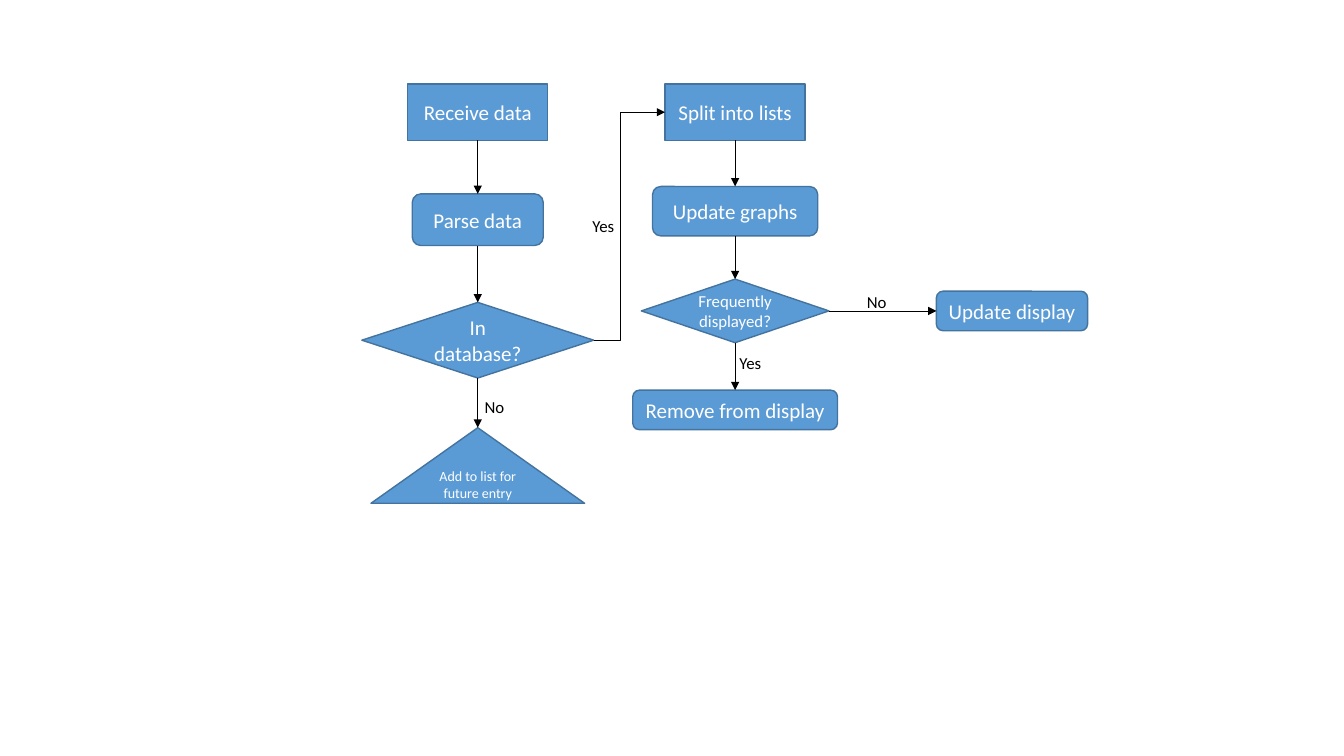
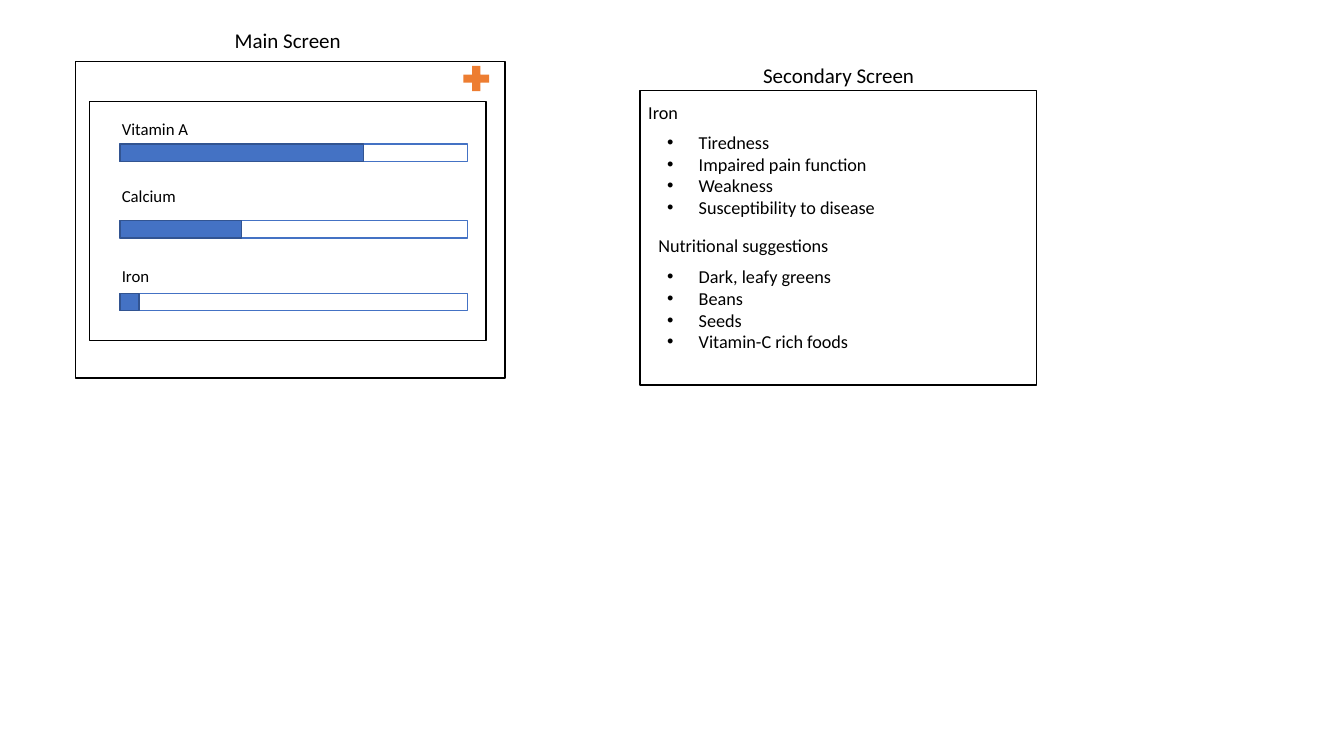
from pptx import Presentation
from pptx import util as u
from pptx.dml.color import RGBColor
from pptx.enum import shapes, text
from pptx.oxml.ns import qn
from lxml import etree

Pt = u.Pt
KIND = shapes.MSO_SHAPE
LINK = shapes.MSO_CONNECTOR
ALIGN = text.PP_ALIGN
ANCHOR = text.MSO_ANCHOR

# Colours
BLACK = RGBColor(0, 0, 0)
WHITE = RGBColor(255, 255, 255)
SKY = RGBColor(0x5B, 0x9B, 0xD5)
STEEL = RGBColor(0x43, 0x73, 0x9E)
BLUE = RGBColor(0x44, 0x72, 0xC4)
NAVY = RGBColor(0x32, 0x54, 0x91)
ORANGE = RGBColor(0xED, 0x7D, 0x31)

# Connection sites
TOP, LEFT, BASE, RIGHT = range(4)


def write(shape, words, size=12, color=BLACK, align=ALIGN.LEFT,
          anchor=ANCHOR.TOP, inset=7.2, bullet=False):
    """Fill a shape with one paragraph per line of words."""
    frame = shape.text_frame
    frame.text = words
    frame.word_wrap = True
    frame.auto_size = text.MSO_AUTO_SIZE.NONE
    frame.vertical_anchor = anchor
    frame.margin_left = frame.margin_right = Pt(inset)
    frame.margin_top = frame.margin_bottom = Pt(3.6)
    for para in frame.paragraphs:
        para.alignment = align
        para.space_before = Pt(0)
        font = para.runs[0].font
        font.name, font.size, font.bold = "Calibri", Pt(size), False
        font.color.rgb = color
        if bullet:
            props = para._p.get_or_add_pPr()
            props.set("marL", str(Pt(22.5)))
            props.set("indent", str(Pt(-22.5)))
            etree.SubElement(props, qn("a:buChar"), char="•")


class Deck:
    def __init__(self, wide, high):
        self.prs = Presentation()
        self.prs.slide_width, self.prs.slide_height = Pt(wide), Pt(high)
        self.slide = None

    def page(self, layout):
        self.slide = self.prs.slides.add_slide(self.prs.slide_layouts[layout])

    def shape(self, kind, x, y, w, h, fill=WHITE, line=BLACK):
        item = self.slide.shapes.add_shape(kind, Pt(x), Pt(y), Pt(w), Pt(h))
        item.shadow.inherit = False
        item.fill.solid()
        item.fill.fore_color.rgb = fill
        if line is None:
            item.line.fill.background()
        else:
            item.line.color.rgb = line
            item.line.width = Pt(1)
        return item

    def node(self, kind, words, mid, y, w, h, size=15):
        """Flowchart step centred on the column at mid."""
        item = self.shape(kind, mid - w / 2, y, w, h, SKY, STEEL)
        write(item, words, size=size, color=WHITE, align=ALIGN.CENTER,
              anchor=ANCHOR.MIDDLE, inset=6)
        return item

    def label(self, words, x, y, w, h=21.6, **style):
        box = self.slide.shapes.add_textbox(Pt(x), Pt(y), Pt(w), Pt(h))
        write(box, words, **style)

    def holder(self, slot, words, x, y, w, h, **style):
        """Place a template placeholder in front of the shapes so far."""
        item = self.slide.placeholders[slot]
        item.left, item.top, item.width, item.height = map(Pt, (x, y, w, h))
        item.element.getparent().append(item.element)
        write(item, words, **style)

    def arrow(self, start, end, out=BASE, into=TOP, bend=None):
        kind = LINK.STRAIGHT if bend is None else LINK.ELBOW
        item = self.slide.shapes.add_connector(kind, 0, 0, 0, 0)
        item.begin_connect(start, out)
        item.end_connect(end, into)
        item.line.color.rgb = BLACK
        item.line.width = Pt(0.5)
        props = item.element.spPr
        etree.SubElement(props.find(qn("a:ln")), qn("a:tailEnd"), type="triangle")
        etree.SubElement(props, qn("a:effectLst"))
        if bend is not None:
            guides = props.find(qn("a:prstGeom")).find(qn("a:avLst"))
            etree.SubElement(guides, qn("a:gd"), name="adj1",
                             fmla=f"val {round(bend * 100000)}")

    def bar(self, words, top, y, part):
        """Labelled progress bar filled to the given part."""
        x, w, h = 85.7, 248.4, 12.24
        self.label(words, 79.9, top, 66)
        self.shape(KIND.RECTANGLE, x, y, w, h, WHITE, BLUE)
        self.shape(KIND.RECTANGLE, x, y, w * part, h, BLUE, NAVY)


deck = Deck(960, 540)

# Slide 1: data flow
deck.page(6)
ROUND = KIND.ROUNDED_RECTANGLE
A, B, C = 341.28, 525.1, 722.9

# Left column
get = deck.node(KIND.RECTANGLE, "Receive data", A, 60, 100, 40.3)
parse = deck.node(ROUND, "Parse data", A, 138.5, 93.6, 36.9)
known = deck.node(KIND.DIAMOND, "In database?", A, 216, 165.6, 54)
add = deck.node(KIND.FLOWCHART_EXTRACT, "Add to list for future entry",
                A, 305.5, 152.6, 54, size=10)

# Right column and side step
split = deck.node(KIND.RECTANGLE, "Split into lists", B, 60, 100, 40.3)
graph = deck.node(ROUND, "Update graphs", B, 133.2, 118, 35.3)
often = deck.node(KIND.DIAMOND, "Frequently displayed?", B, 199.4, 134, 45.4, size=12)
drop = deck.node(ROUND, "Remove from display", B, 278.7, 146.2, 28.2)
show = deck.node(ROUND, "Update display", C, 208, 108, 28.2)

# Arrows and answers
for chain in ((get, parse, known, add), (split, graph, often, drop)):
    for start, end in zip(chain, chain[1:]):
        deck.arrow(start, end)
deck.arrow(known, split, RIGHT, LEFT, bend=0.37)
deck.arrow(often, show, RIGHT, LEFT)
for words, x, y in (("Yes", 414.7, 150.5), ("No", 337, 280.1),
                    ("Yes", 519.8, 248.4), ("No", 610, 205.2)):
    deck.label(words, x, y, 32.4, align=ALIGN.CENTER)

# Slide 2: main screen
deck.page(4)
deck.shape(KIND.RECTANGLE, 54, 43.9, 306.7, 226.1)
deck.shape(KIND.RECTANGLE, 64.1, 72.7, 283, 170.6)
deck.holder(0, "Main Screen", 148.3, 15.8, 114.5, 25.2, size=15, align=ALIGN.CENTER)
for row in (("Vitamin A", 81.4, 103, 0.7), ("Calcium", 128.9, 157.7, 0.35),
            ("Iron", 186.5, 209.5, 0.055)):
    deck.bar(*row)
deck.shape(KIND.MATH_PLUS, 327.6, 43.9, 25.2, 24.5, ORANGE, None)

# Slide 2: secondary screen
deck.shape(KIND.RECTANGLE, 457.2, 64.8, 283, 210.2)
deck.label("Secondary Screen", 499.7, 41, 198.7, 25.2, size=15, align=ALIGN.CENTER)
deck.holder(1, "Iron", 455.8, 68.4, 180.7, 23, size=13)
deck.holder(2, "Tiredness\nImpaired pain function\nWeakness\nSusceptibility to disease",
            469.4, 90, 259.2, 70.6, size=13, bullet=True)
deck.holder(3, "Nutritional suggestions", 463, 163.4, 180.7, 23, size=13)
deck.holder(4, "Dark, leafy greens\nBeans\nSeeds\nVitamin-C rich foods",
            469.4, 185.8, 259.2, 70.6, size=13, bullet=True)

deck.prs.save("out.pptx")
